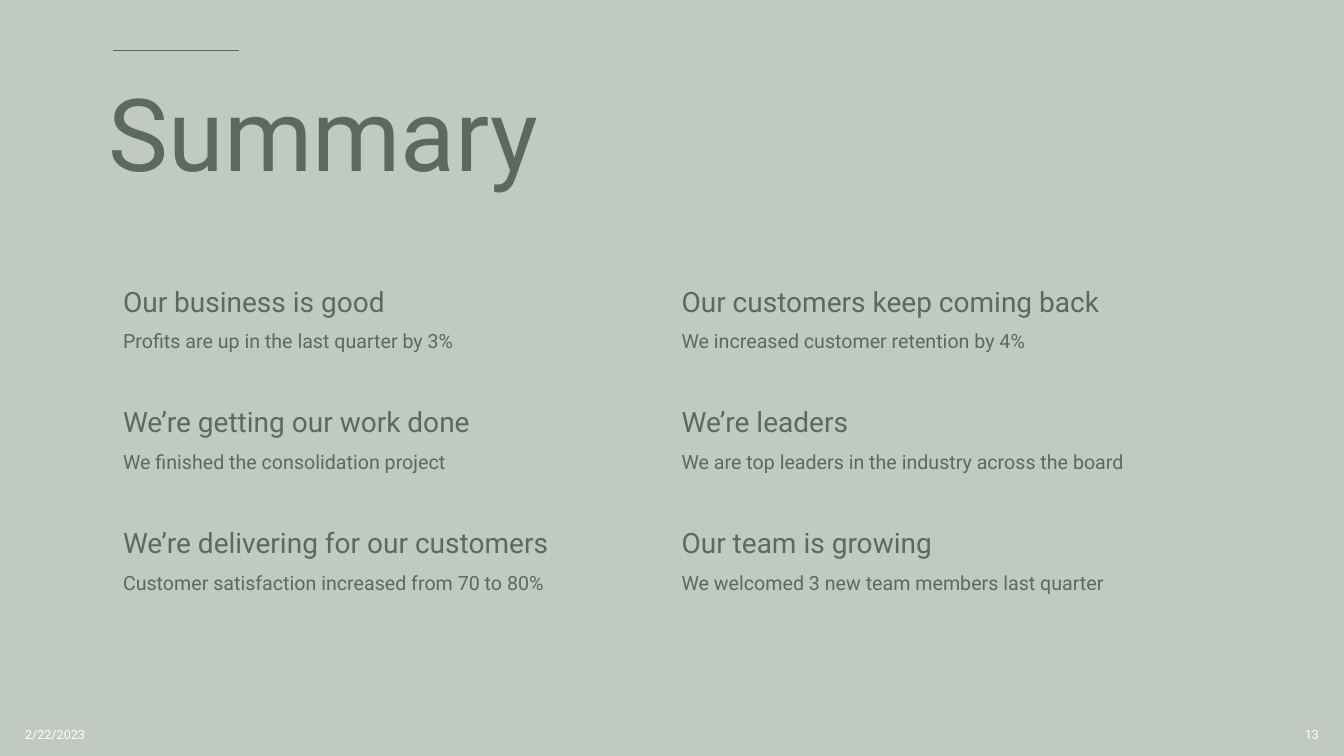
import pptx
import pptx.dml.color
import pptx.enum.shapes
import pptx.enum.text
import pptx.oxml
import pptx.oxml.ns
import pptx.util

TITLE = "Summary"
SUMMARY = [
    [
        ("Our business is good", "Profits are up in the last quarter by 3%"),
        ("Our customers keep coming back", "We increased customer retention by 4%"),
    ],
    [
        ("We’re getting our work done", "We finished the consolidation project"),
        ("We’re leaders", "We are top leaders in the industry across the board"),
    ],
    [
        ("We’re delivering for our customers", "Customer satisfaction increased from 70 to 80%"),
        ("Our team is growing", "We welcomed 3 new team members last quarter"),
    ],
]
DATE = "2/22/2023"
PAGE_NUMBER = "13"

FONT = "Roboto"
GREEN, SAGE, WHITE = "5B6A5E", "C0C9C2", "FFFFFF"
WIDTH, HEIGHT = 13.33, 7.5
MARGIN = 1.12
COLUMN_WIDTH, ROW_HEIGHT = 5.54, 1.2
TABLE_TOP = 2.81
FOOTER_WIDTH, FOOTER_HEIGHT, FOOTER_MARGIN = 3, 0.4, 0.15
NO_GRID_STYLE = "{2D5ABB26-0587-4C30-8999-92F81FD0307C}"

inches = pptx.util.Inches
align = pptx.enum.text.PP_ALIGN


def color(hex_string):
    return pptx.dml.color.RGBColor.from_string(hex_string)


def add_run(paragraph, text, size, hex_string):
    run = paragraph.add_run()
    run.text = text
    run.font.name = FONT
    run.font.size = pptx.util.Pt(size)
    run.font.color.rgb = color(hex_string)


def fill_cell(cell, heading, detail):
    properties = cell._tc.get_or_add_tcPr()
    for side in ("lnL", "lnR", "lnT", "lnB"):
        properties.append(pptx.oxml.parse_xml(
            f'<a:{side} {pptx.oxml.ns.nsdecls("a")} w="0"><a:noFill/></a:{side}>'))
    cell.fill.background()
    first = cell.text_frame.paragraphs[0]
    second = cell.text_frame.add_paragraph()
    second.space_before = pptx.util.Pt(10)
    for paragraph, text, size in ((first, heading, 20), (second, detail, 14)):
        paragraph.line_spacing = 0.9
        add_run(paragraph, text, size, GREEN)


def add_summary_table(slide):
    rows, columns = len(SUMMARY), len(SUMMARY[0])
    frame = slide.shapes.add_table(
        rows, columns, inches(MARGIN), inches(TABLE_TOP),
        inches(columns * COLUMN_WIDTH), inches(rows * ROW_HEIGHT))
    table = frame.table
    table.first_row = False
    table.horz_banding = False
    table._tbl.tblPr.find(pptx.oxml.ns.qn("a:tableStyleId")).text = NO_GRID_STYLE
    for row_index, row in enumerate(SUMMARY):
        for column_index, (heading, detail) in enumerate(row):
            fill_cell(table.cell(row_index, column_index), heading, detail)


def add_footer(slide, text, left, alignment):
    box = slide.shapes.add_textbox(
        inches(left), inches(HEIGHT - FOOTER_HEIGHT - 0.01),
        inches(FOOTER_WIDTH), inches(FOOTER_HEIGHT))
    box.text_frame.word_wrap = True
    box.text_frame.vertical_anchor = pptx.enum.text.MSO_ANCHOR.MIDDLE
    paragraph = box.text_frame.paragraphs[0]
    paragraph.alignment = alignment
    add_run(paragraph, text, 9, WHITE)


def main():
    presentation = pptx.Presentation()
    presentation.slide_width = inches(WIDTH)
    presentation.slide_height = inches(HEIGHT)
    slide = presentation.slides.add_slide(presentation.slide_layouts.get_by_name("Title Only"))
    slide.background.fill.solid()
    slide.background.fill.fore_color.rgb = color(SAGE)

    rule = slide.shapes.add_connector(
        pptx.enum.shapes.MSO_CONNECTOR.STRAIGHT,
        inches(MARGIN), inches(0.5), inches(MARGIN + 1.25), inches(0.5))
    rule.line.color.rgb = color(GREEN)
    rule.line.width = pptx.util.Pt(1.25)
    rule._element.spPr.append(pptx.oxml.parse_xml(
        f'<a:effectLst {pptx.oxml.ns.nsdecls("a")}/>'))

    title = slide.shapes.title
    title.left, title.top = inches(0.98), inches(0.63)
    title.width, title.height = inches(11.11), inches(1.5)
    title.text_frame.vertical_anchor = pptx.enum.text.MSO_ANCHOR.MIDDLE
    title.text_frame.auto_size = pptx.enum.text.MSO_AUTO_SIZE.NONE
    paragraph = title.text_frame.paragraphs[0]
    paragraph.alignment = align.LEFT
    paragraph.line_spacing = 0.9
    add_run(paragraph, TITLE, 72, GREEN)

    add_summary_table(slide)
    add_footer(slide, DATE, FOOTER_MARGIN, align.LEFT)
    add_footer(slide, PAGE_NUMBER, WIDTH - FOOTER_MARGIN - FOOTER_WIDTH, align.RIGHT)
    presentation.save("out.pptx")


if __name__ == "__main__":
    main()
